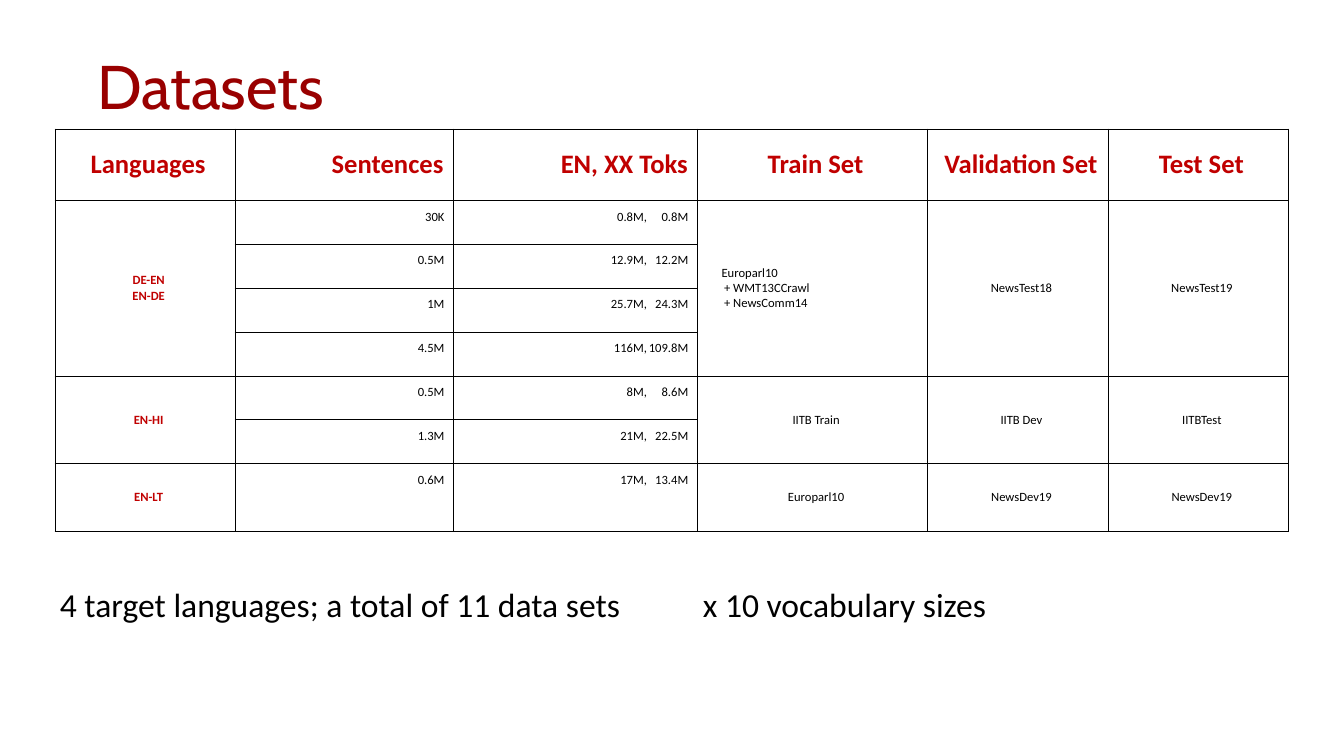
from lxml import etree
from pptx import Presentation
from pptx.dml.color import RGBColor
from pptx.enum.text import MSO_ANCHOR, PP_ALIGN
from pptx.oxml.ns import qn
from pptx.util import Inches, Pt

LEFT, CENTER, RIGHT = PP_ALIGN.LEFT, PP_ALIGN.CENTER, PP_ALIGN.RIGHT
TOP, MIDDLE = MSO_ANCHOR.TOP, MSO_ANCHOR.MIDDLE
RED, BLACK, WHITE = "C00000", "000000", "FFFFFF"


def add_text(p, text, size, color, bold=False, font="Calibri"):
    for i, line in enumerate(text.split("\n")):
        if i:
            p.add_line_break()
        r = p.add_run()
        r.text = line
        r.font.name, r.font.size, r.font.bold = font, Pt(size), bold
        r.font.color.rgb = RGBColor.from_string(color)


def add_tabs(p, stops):
    tabs = etree.SubElement(p._p.get_or_add_pPr(), qn("a:tabLst"))
    for pos, algn in stops:
        etree.SubElement(tabs, qn("a:tab"), pos=str(Inches(pos)), algn=algn)


prs = Presentation()
prs.slide_width, prs.slide_height = Inches(26.67), Inches(15)
s = prs.slides.add_slide(prs.slide_layouts[5])

# Title
title = s.shapes.title
title.left, title.top = Inches(1.83), Inches(0.75)
title.width, title.height = Inches(23), Inches(2.06)
tf = title.text_frame
tf.vertical_anchor = MIDDLE
p = tf.paragraphs[0]
p.alignment, p.line_spacing = LEFT, 0.9
add_text(p, "Datasets", 88, "990000", font="Cabin")

# Table contents: an empty string continues the merged cell above
rows = [
    ["Languages", "Sentences", "EN, XX Toks", "Train Set", "Validation Set", "Test Set"],
    ["DE-EN\nEN-DE", "30K", "0.8M, 0.8M", "Europarl10\n+ WMT13CCrawl\n+ NewsComm14",
     "NewsTest18", "NewsTest19"],
    ["", "0.5M", "12.9M, 12.2M", "", "", ""],
    ["", "1M", "25.7M, 24.3M", "", "", ""],
    ["", "4.5M", "116M, 109.8M", "", "", ""],
    ["EN-HI", "0.5M", "8M, 8.6M", "IITB Train", "IITB Dev", "IITBTest"],
    ["", "1.3M", "21M, 22.5M", "", "", ""],
    ["EN-LT", "0.6M", "17M, 13.4M", "Europarl10", "NewsDev19", "NewsDev19"],
]
col_widths = [3.57, 4.33, 4.85, 4.56, 3.59, 3.57]
row_heights = [1.42] + [0.87] * 6 + [1.35]
table = s.shapes.add_table(len(rows), len(col_widths), Inches(1.09), Inches(2.56),
                           Inches(sum(col_widths)), Inches(sum(row_heights))).table
table.first_row = table.horz_banding = False
for col, width in zip(table.columns, col_widths):
    col.width = Inches(width)
for row, height in zip(table.rows, row_heights):
    row.height = Inches(height)

# Cells
for i, values in enumerate(rows):
    header = i == 0
    for j, text in enumerate(values):
        cell = table.cell(i, j)
        numeric = j in (1, 2)
        cell.margin_left = Inches(0.32)
        cell.margin_right = cell.margin_top = cell.margin_bottom = Inches(0.19 if header else 0.17)
        cell.vertical_anchor = TOP if numeric and not header else MIDDLE

        # Borders come before the fill in the cell properties
        for side in ("lnL", "lnR", "lnT", "lnB"):
            ln = etree.SubElement(cell._tc.get_or_add_tcPr(), qn("a:" + side), w=str(Pt(1)))
            fill = etree.SubElement(ln, qn("a:solidFill"))
            etree.SubElement(fill, qn("a:srgbClr"), val=BLACK)
        cell.fill.solid()
        cell.fill.fore_color.rgb = RGBColor.from_string(WHITE)
        if not text:
            continue

        p = cell.text_frame.paragraphs[0]
        p.alignment = RIGHT if numeric else CENTER
        if j == 2 and not header:
            # Token counts line up on two right tabs
            p.alignment = LEFT
            add_tabs(p, [(3.53, "r"), (4.35, "r")])
            text = "\t" + text.replace(" ", "\t")
        elif "+" in text:
            # Added corpora hang slightly under the first
            p.alignment = LEFT
            pPr = p._p.get_or_add_pPr()
            pPr.set("marL", str(Inches(0.21)))
            pPr.set("indent", str(Inches(-0.05)))
        red = header or j == 0
        add_text(p, text, 38 if header else 18, RED if red else BLACK, bold=red)

# Language groups span their rows
for first, last in ((1, 4), (5, 6)):
    for j in (0, 3, 4, 5):
        table.cell(first, j).merge(table.cell(last, j))

# Summary line
tf = s.shapes.add_textbox(Inches(1.09), Inches(11.53), Inches(20.56), Inches(0.91)).text_frame
tf.word_wrap = True
p = tf.paragraphs[0]
add_tabs(p, [(12.76, "l")])
add_text(p, "4 target languages; a total of 11 data sets\tx 10 vocabulary sizes", 48, BLACK)

prs.save("out.pptx")
